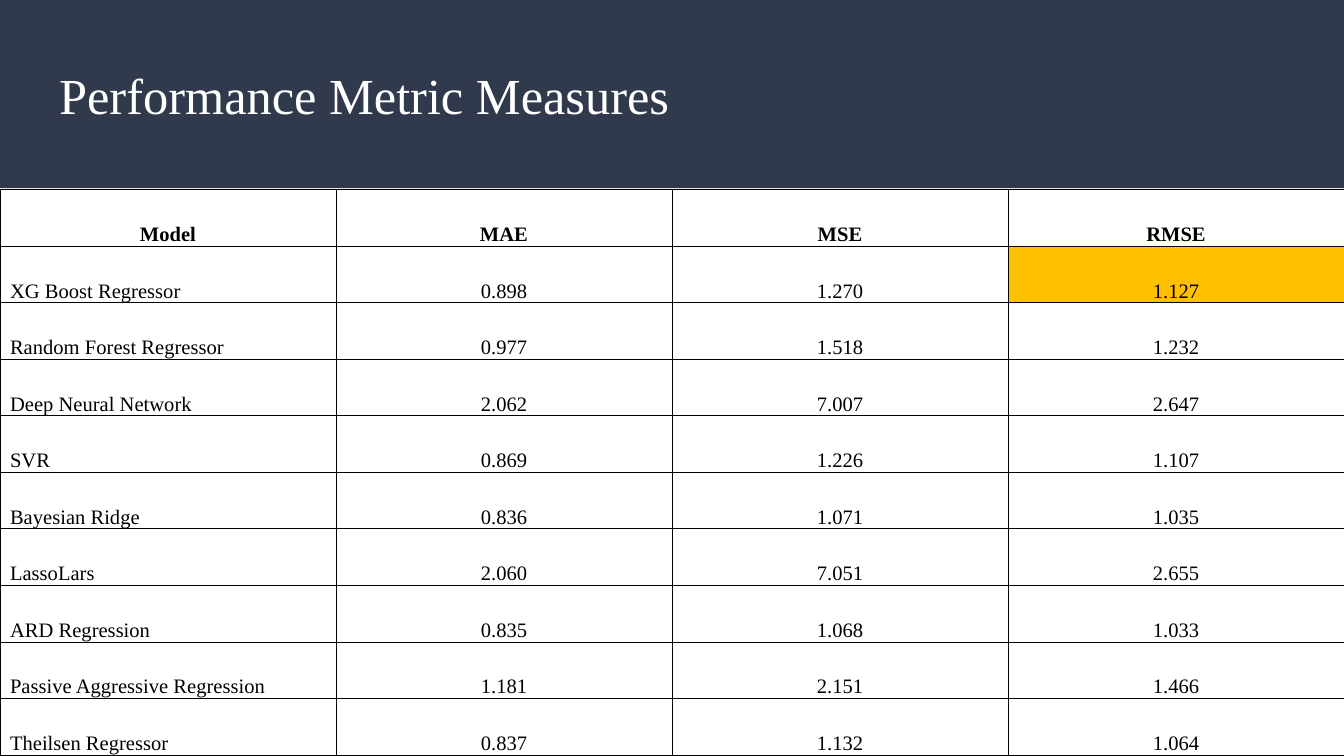
from lxml.etree import SubElement
from pptx import Presentation
from pptx.dml.color import RGBColor
from pptx.enum.shapes import MSO_SHAPE
from pptx.enum.text import MSO_ANCHOR, PP_ALIGN
from pptx.oxml.ns import qn
from pptx.util import Pt

TITLE = "Performance Metric Measures"
HEADER = ("Model", "MAE", "MSE", "RMSE")
RESULTS = [
    ("XG Boost Regressor", "0.898", "1.270", "1.127"),
    ("Random Forest Regressor", "0.977", "1.518", "1.232"),
    ("Deep Neural Network", "2.062", "7.007", "2.647"),
    ("SVR", "0.869", "1.226", "1.107"),
    ("Bayesian Ridge", "0.836", "1.071", "1.035"),
    ("LassoLars", "2.060", "7.051", "2.655"),
    ("ARD Regression", "0.835", "1.068", "1.033"),
    ("Passive Aggressive Regression", "1.181", "2.151", "1.466"),
    ("Theilsen Regressor", "0.837", "1.132", "1.064"),
]
HIGHLIGHTED = (1, 3)
FONT = "Times New Roman"
NAVY, GOLD, WHITE, BLACK = "31394D", "FFC000", "FFFFFF", "000000"
WIDTH, HEIGHT = 720, 405
BAND_HEIGHT, TABLE_TOP, ROW_HEIGHT = 100.8, 101.7, 30.3


def paint(fill, color):
    """Give a fill one solid colour."""
    fill.solid()
    fill.fore_color.rgb = RGBColor.from_string(color)


def set_font(font, size, color, bold=False):
    """Set the typeface, size, colour and weight of a font."""
    font.name, font.size, font.bold = FONT, Pt(size), bold
    font.color.rgb = RGBColor.from_string(color)


def add_borders(cell, color, width):
    """Draw a solid line on all four sides of a cell."""
    properties = cell._tc.get_or_add_tcPr()
    for side in ("a:lnL", "a:lnR", "a:lnT", "a:lnB"):
        line = SubElement(properties, qn(side), w=str(Pt(width)))
        SubElement(SubElement(line, qn("a:solidFill")), qn("a:srgbClr"), val=color)


def format_cell(cell, text, fill, centered, bold):
    """Write one table cell with its borders and fill."""
    add_borders(cell, BLACK, 0.5)
    paint(cell.fill, fill)
    cell.vertical_anchor = MSO_ANCHOR.BOTTOM
    cell.margin_left = cell.margin_right = Pt(5.4)
    cell.margin_top = cell.margin_bottom = 0
    cell.text = text
    paragraph = cell.text_frame.paragraphs[0]
    paragraph.alignment = PP_ALIGN.CENTER if centered else PP_ALIGN.LEFT
    paragraph.line_spacing = 1.07
    set_font(paragraph.font, 11, BLACK, bold)


def add_band(slide):
    """Place the dark band behind the title."""
    band = slide.shapes.add_shape(MSO_SHAPE.RECTANGLE, 0, 0, Pt(WIDTH), Pt(BAND_HEIGHT))
    band.shadow.inherit = False
    paint(band.fill, NAVY)
    band.line.fill.background()
    slide.shapes._spTree.insert(2, band._element)


def format_title(title):
    """Move, fill and format the title placeholder."""
    title.left, title.top, title.width, title.height = Pt(24.5), Pt(26), Pt(671), Pt(49)
    frame = title.text_frame
    frame.text = TITLE
    frame.word_wrap = True
    frame.vertical_anchor = MSO_ANCHOR.MIDDLE
    frame.margin_left = frame.margin_right = Pt(7.2)
    frame.margin_top = frame.margin_bottom = Pt(7.2)
    paragraph = frame.paragraphs[0]
    paragraph.alignment = PP_ALIGN.LEFT
    set_font(paragraph.font, 27, WHITE)


def add_metrics_table(slide):
    """Add the table of error measures for each model."""
    rows = [HEADER, *RESULTS]
    table = slide.shapes.add_table(
        len(rows), len(HEADER), 0, Pt(TABLE_TOP), Pt(WIDTH), Pt(ROW_HEIGHT * len(rows))
    ).table
    table.horz_banding = False
    for row_index, values in enumerate(rows):
        table.rows[row_index].height = Pt(ROW_HEIGHT)
        for column_index, text in enumerate(values):
            is_header = row_index == 0
            fill = GOLD if (row_index, column_index) == HIGHLIGHTED else WHITE
            format_cell(table.cell(row_index, column_index), text, fill,
                        is_header or column_index > 0, is_header)


presentation = Presentation()
presentation.slide_width, presentation.slide_height = Pt(WIDTH), Pt(HEIGHT)
slide = presentation.slides.add_slide(presentation.slide_layouts[5])
add_band(slide)
format_title(slide.shapes.title)
add_metrics_table(slide)
presentation.save("out.pptx")
